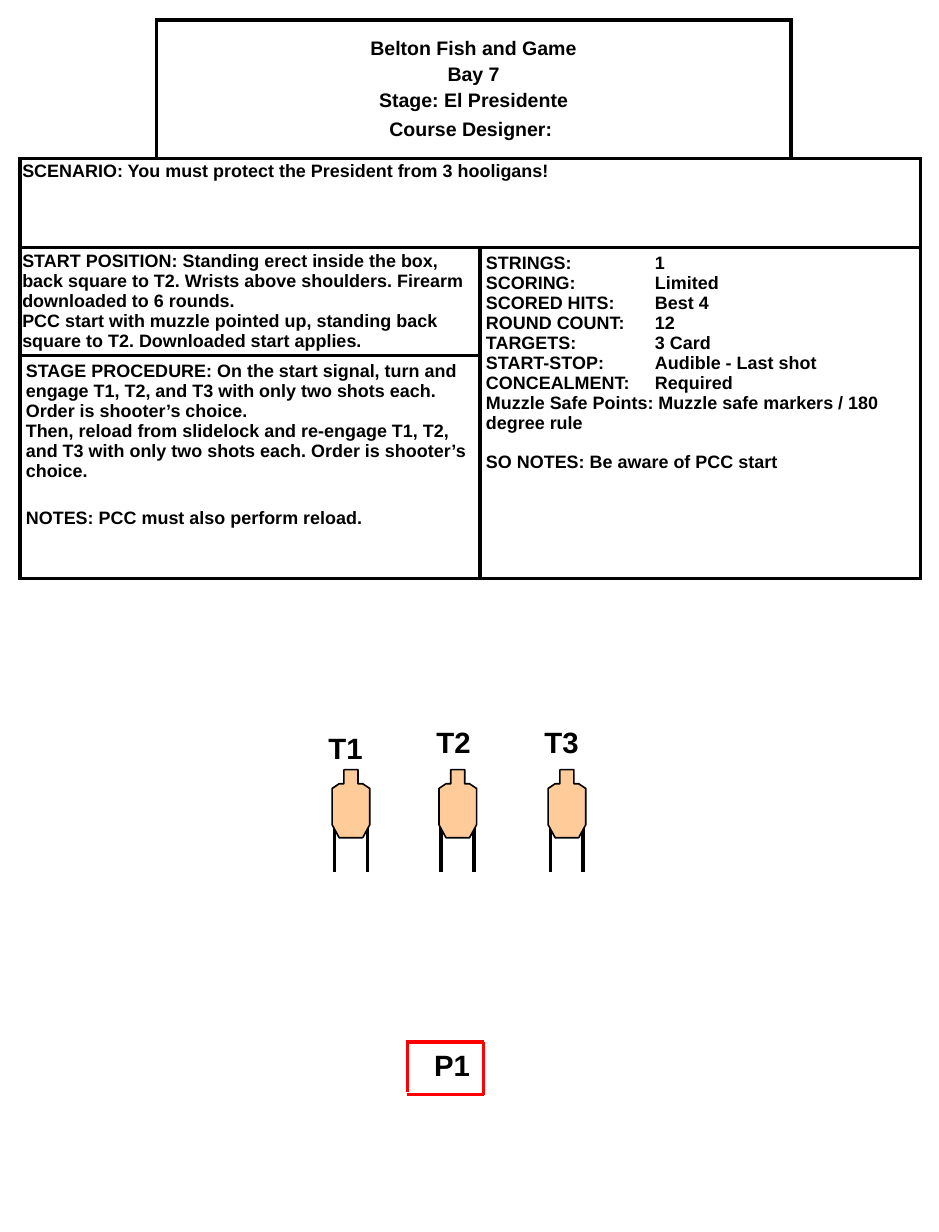
from lxml.etree import SubElement
from pptx import Presentation
from pptx.dml.color import RGBColor
from pptx.enum.shapes import MSO_CONNECTOR
from pptx.enum.text import MSO_ANCHOR, MSO_AUTO_SIZE, PP_ALIGN
from pptx.oxml.ns import qn
from pptx.util import Inches, Pt

BLACK, WHITE, RED, TAN = "000000", "FFFFFF", "FF0000", "FFCC99"
FONT = "Arial"
COLUMNS = [1.16, 2.76, 2.65, 1.1]
ROWS = [1.18, 0.76, 0.92, 1.9]
VALUE_TAB = 1.44

# Each paragraph is (text, space before in points)
HEADING = [("Belton Fish and Game", 0), ("Bay 7", 2.4),
           ("Stage: El Presidente", 2.4), ("Course Designer: ", 4.2)]
SCENARIO = [("SCENARIO: You must protect the President from 3 hooligans!", 0)]
START = [
    ("START POSITION: Standing erect inside the box, back square to T2. "
     "Wrists above shoulders. Firearm downloaded to 6 rounds.", 0),
    ("PCC start with muzzle pointed up, standing back square to T2. "
     "Downloaded start applies.", 0),
]
SCORING = [
    ("STRINGS:\t1", 0), ("SCORING:\tLimited", 0), ("SCORED HITS:\tBest 4", 0),
    ("ROUND COUNT:\t12", 0), ("TARGETS:\t3 Card", 0),
    ("START-STOP:\tAudible - Last shot", 0), ("CONCEALMENT:\tRequired", 0),
    ("Muzzle Safe Points: Muzzle safe markers / 180 degree rule", 0),
    ("SO NOTES: Be aware of PCC start", 12),
]
PROCEDURE = [
    ("STAGE PROCEDURE: On the start signal, turn and engage T1, T2, and T3 "
     "with only two shots each. Order is shooter’s choice.", 0),
    ("Then, reload from slidelock and re-engage T1, T2, and T3 with only two "
     "shots each. Order is shooter’s choice.", 0),
    ("NOTES: PCC must also perform reload.", 17),
]


def rgb(value):
    return RGBColor.from_string(value)


def add_text(paragraph, text, size):
    run = paragraph.add_run()
    run.text = text
    run.font.name, run.font.size, run.font.bold = FONT, Pt(size), True
    run.font.color.rgb = rgb(BLACK)


def add_line(shapes, start, end, color, width):
    line = shapes.add_connector(MSO_CONNECTOR.STRAIGHT,
                                *(Inches(v) for v in (*start, *end)))
    line.line.color.rgb = rgb(color)
    line.line.width = Pt(width)
    SubElement(line._element.spPr, qn("a:effectLst"))


def add_label(slide, text, left, top):
    label = slide.shapes.add_textbox(*(Inches(v) for v in (left, top, 0.58, 0.4)))
    frame = label.text_frame
    frame.word_wrap = True
    frame.auto_size = MSO_AUTO_SIZE.SHAPE_TO_FIT_TEXT
    add_text(frame.paragraphs[0], text, 18)


def set_borders(cell, edges):
    """Draw the named edges (from L, R, T, B) and hide the others."""
    properties = cell._tc.get_or_add_tcPr()
    for edge in "LRTB":
        border = SubElement(properties, qn(f"a:ln{edge}"), w=str(Pt(2.25)))
        if edge in edges:
            fill = SubElement(border, qn("a:solidFill"))
            SubElement(fill, qn("a:srgbClr"), val=BLACK)
        else:
            SubElement(border, qn("a:noFill"))


def fill_cell(cell, paragraphs, margins, size=11, align=PP_ALIGN.LEFT, spacing=None):
    """Write paragraphs; margins are (sides, top and bottom) in inches."""
    cell.margin_left = cell.margin_right = Inches(margins[0])
    cell.margin_top = cell.margin_bottom = Inches(margins[1])
    frame = cell.text_frame
    for index, (text, before) in enumerate(paragraphs):
        paragraph = frame.add_paragraph() if index else frame.paragraphs[0]
        paragraph.alignment = align
        if spacing:
            paragraph.line_spacing = spacing
        if before:
            paragraph.space_before = Pt(before)
        if "\t" in text:
            tabs = SubElement(paragraph._p.get_or_add_pPr(), qn("a:tabLst"))
            SubElement(tabs, qn("a:tab"), pos=str(Inches(VALUE_TAB)), algn="l")
        add_text(paragraph, text, size)


def add_briefing(slide, left, top):
    table = slide.shapes.add_table(
        len(ROWS), len(COLUMNS), Inches(left), Inches(top),
        Inches(sum(COLUMNS)), Inches(sum(ROWS))).table
    table.first_row = table.horz_banding = False
    for column, width in zip(table.columns, COLUMNS):
        column.width = Inches(width)
    for row, height in zip(table.rows, ROWS):
        row.height = Inches(height)

    corners = {(0, 0): "RB", (0, 3): "LB"}
    for r in range(len(ROWS)):
        for c in range(len(COLUMNS)):
            cell = table.cell(r, c)
            set_borders(cell, corners.get((r, c), "LRTB"))
            cell.fill.solid()
            cell.fill.fore_color.rgb = rgb(WHITE)
    for first, last in [((0, 1), (0, 2)), ((1, 0), (1, 3)), ((2, 0), (2, 1)),
                        ((2, 2), (3, 3)), ((3, 0), (3, 1))]:
        table.cell(*first).merge(table.cell(*last))

    heading = table.cell(0, 1)
    heading.vertical_anchor = MSO_ANCHOR.MIDDLE
    fill_cell(heading, HEADING, (0.05, 0.05), 12, PP_ALIGN.CENTER)
    fill_cell(table.cell(1, 0), SCENARIO, (0.02, 0.04), spacing=0.9)
    fill_cell(table.cell(2, 0), START, (0.02, 0.03))
    fill_cell(table.cell(2, 2), SCORING, (0.05, 0.05))
    fill_cell(table.cell(3, 0), PROCEDURE, (0.05, 0.05))


def add_target(slide, left, top):
    """Place a target 0.32 wide and 0.87 high on two legs."""
    shapes = slide.shapes.add_group_shape().shapes
    for leg in (0.02, 0.3):
        add_line(shapes, (left + leg, top + 0.43), (left + leg, top + 0.87), BLACK, 2.25)
    # Outline in hundredths of an inch
    outline = shapes.build_freeform(10, 0, scale=Inches(0.01))
    outline.add_line_segments([(22, 0), (22, 12), (26, 12), (32, 16), (32, 47), (26, 58),
                               (6, 58), (0, 47), (0, 16), (6, 12), (10, 12)])
    body = outline.convert_to_shape(Inches(left), Inches(top))
    body.shadow.inherit = False
    body.fill.solid()
    body.fill.fore_color.rgb = rgb(TAN)
    body.line.color.rgb = rgb(BLACK)
    body.line.width = Pt(1)


def add_shooter_box(slide, left, top, width, height):
    right, bottom = left + width, top + height
    for start, end in [((right, top), (left, top)),
                       ((right, bottom), (left, bottom)),
                       ((left, bottom - 0.02), (left, top - 0.02)),
                       ((right, bottom), (right, top))]:
        add_line(slide.shapes, start, end, RED, 2)
    add_label(slide, "P1", left + 0.13, top)


def main():
    deck = Presentation()
    deck.slide_width, deck.slide_height = Inches(8), Inches(10.5)
    slide = deck.slides.add_slide(deck.slide_layouts[6])
    add_briefing(slide, 0.17, 0.17)
    for name, left, label_left, label_top in [
            ("T1", 2.83, 2.7, 6.17), ("T2", 3.74, 3.62, 6.12), ("T3", 4.67, 4.54, 6.12)]:
        add_target(slide, left, 6.56)
        add_label(slide, name, label_left, label_top)
    add_shooter_box(slide, 3.47, 8.88, 0.65, 0.45)
    deck.save("out.pptx")


if __name__ == "__main__":
    main()
